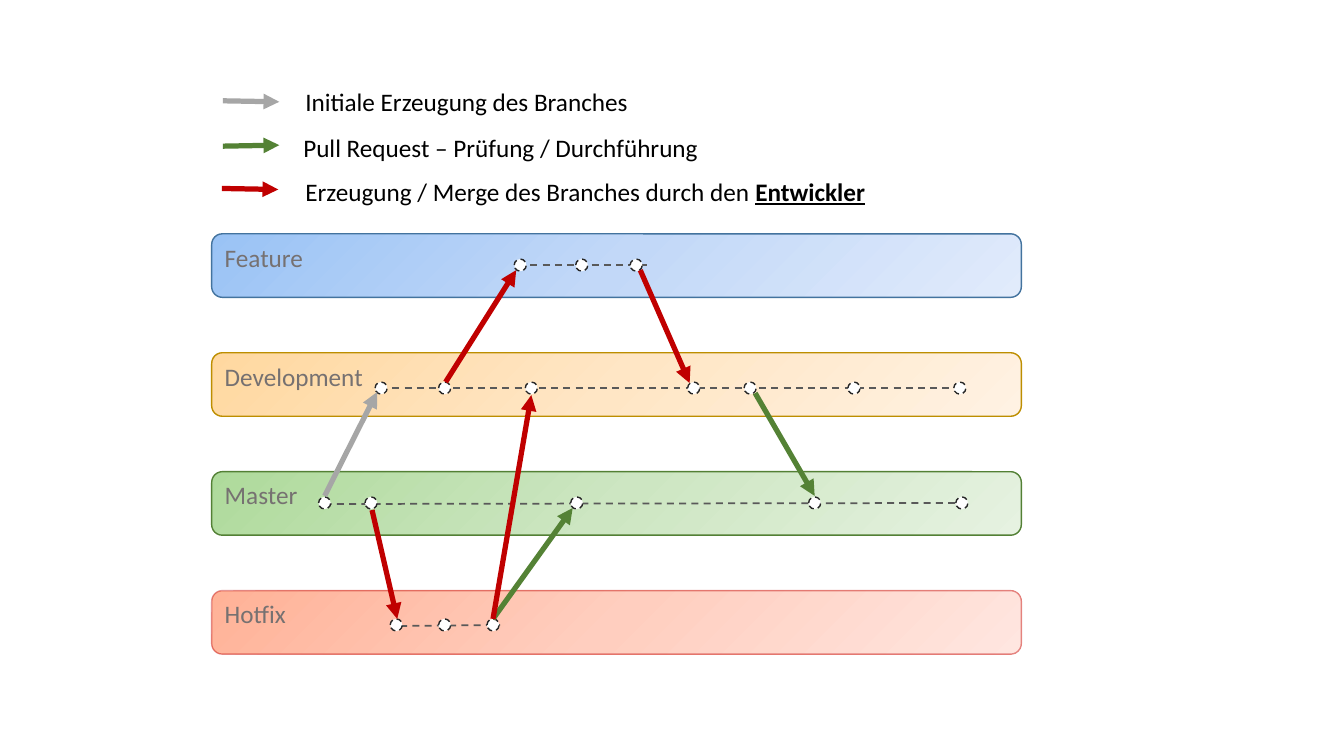
from dataclasses import dataclass
from copy import deepcopy

from lxml.etree import SubElement
from pptx import Presentation
from pptx.dml.color import RGBColor
from pptx.enum.dml import MSO_LINE_DASH_STYLE as Dash
from pptx.enum.shapes import MSO_CONNECTOR_TYPE as Connector, MSO_SHAPE as Shape
from pptx.enum.text import MSO_ANCHOR as Anchor, MSO_AUTO_SIZE as AutoSize, PP_ALIGN as Align
from pptx.oxml.ns import qn
from pptx.util import Inches, Pt

COLORS = {
    "initial": "A6A6A6", "pull_request": "548235", "developer": "C00000",
    "timeline": "595959", "commit_line": "262626", "commit": "FFFFFF",
    "lane_label": "767171", "legend": "000000",
}
FONT = "Calibri"
LANE_LEFT, LANE_TOP, LANE_WIDTH, LANE_HEIGHT, LANE_PITCH = 2.1, 2.32, 8.03, 0.63, 1.18
COMMIT_SIZE = 0.12

Point = tuple[float, float]


@dataclass
class Lane:
    """A branch with its band colours, timeline and commits."""
    name: str
    gradient: tuple[str, str, str]
    border: str
    timeline: tuple[Point, Point]
    commit_top: float
    commits: tuple[float, ...]
    border_opacity: int = 100


@dataclass
class Step:
    """An arrow of one kind between two points."""
    kind: str
    start: Point
    end: Point


@dataclass
class LegendEntry:
    """A sample arrow and its explanation."""
    sample: Step
    left: float
    top: float
    width: float
    text: str
    emphasis: str = ""


LANES = [
    Lane("Feature", ("9AC3F5", "C2D8F8", "E1EBFB"), "43739E",
         ((5.14, 2.63), (6.42, 2.63)), 2.57, (5.1, 5.71, 6.25)),
    Lane("Development", ("FFD8A0", "FFE6C5", "FFF2E3"), "BD8E00",
         ((3.77, 3.85), (9.57, 3.85)), 3.79, (3.72, 4.35, 5.21, 6.82, 7.38, 8.41, 9.46)),
    Lane("Master", ("AEDA9B", "CDE6C2", "E6F2E1"), "538035",
         ((3.22, 5), (9.61, 4.99)), 4.93, (3.16, 3.62, 5.66, 8.02, 9.48)),
    Lane("Hotfix", ("FFB297", "FFCEBF", "FFE6E0"), "C00000",
         ((3.97, 6.21), (4.96, 6.2)), 6.14, (3.87, 4.35, 4.83), border_opacity=42),
]
STEPS = [
    Step("developer", (4.42, 3.79), (5.12, 2.68)),
    Step("developer", (6.35, 2.68), (6.84, 3.8)),
    Step("pull_request", (7.49, 3.9), (8.08, 4.92)),
    Step("developer", (3.69, 5.06), (3.94, 6.14)),
    Step("pull_request", (4.89, 6.14), (5.68, 5.04)),
    Step("developer", (4.89, 6.14), (5.27, 3.92)),
    Step("initial", (3.22, 4.92), (3.74, 3.89)),
]
LEGEND = [
    LegendEntry(Step("initial", (2.21, 1), (2.77, 1.01)), 2.93, 0.81, 3.44,
                "Initiale Erzeugung des Branches"),
    LegendEntry(Step("pull_request", (2.21, 1.45), (2.77, 1.44)), 2.91, 1.26, 4.17,
                "Pull Request – Prüfung / Durchführung"),
    LegendEntry(Step("developer", (2.2, 1.87), (2.76, 1.88)), 2.93, 1.7, 5.79,
                "Erzeugung / Merge des Branches durch den ", "Entwickler"),
]


def rgb(value: str) -> RGBColor:
    """Turn a hex string into a colour."""
    return RGBColor.from_string(value)


def write(paragraph, text: str, *, color: str, size: float = 18,
          bold: bool = False, underline: bool = False) -> None:
    """Add a formatted run to a paragraph."""
    run = paragraph.add_run()
    run.text = text
    font = run.font
    font.name, font.size = FONT, Pt(size)
    font.bold, font.underline = bold, underline
    font.color.rgb = rgb(color)


def draw_line(shapes, start: Point, end: Point, color: str, width: float):
    """Draw a straight connector without shadow and return its line format."""
    connector = shapes.add_connector(
        Connector.STRAIGHT, *(Inches(value) for value in (*start, *end)))
    connector.line.color.rgb = rgb(color)
    connector.line.width = Pt(width)
    SubElement(connector._element.spPr, qn("a:effectLst"))
    return connector.line


def draw_step(shapes, step: Step) -> None:
    """Draw an arrow in the colour of its kind."""
    line = draw_line(shapes, step.start, step.end, COLORS[step.kind], 3.75)
    SubElement(line._get_or_add_ln(), qn("a:tailEnd"), type="triangle")


def draw_band(shapes, lane: Lane, top: float) -> None:
    """Draw the labelled gradient band of a lane."""
    band = shapes.add_shape(Shape.ROUNDED_RECTANGLE, Inches(LANE_LEFT), Inches(top),
                            Inches(LANE_WIDTH), Inches(LANE_HEIGHT))
    band.shadow.inherit = False
    band.fill.gradient()
    band.fill.gradient_angle = 315
    stop_list = band._element.spPr.find(f".//{qn('a:gsLst')}")
    stop_list.insert(1, deepcopy(stop_list[0]))
    for stop, position, color in zip(band.fill.gradient_stops, (0, 0.5, 1), lane.gradient):
        stop.position = position
        stop.color.rgb = rgb(color)
    band.line.color.rgb = rgb(lane.border)
    band.line.width = Pt(1)
    if lane.border_opacity < 100:
        border = band.line._get_or_add_ln().find(f".//{qn('a:srgbClr')}")
        SubElement(border, qn("a:alpha"), val=str(lane.border_opacity * 1000))
    frame = band.text_frame
    frame.vertical_anchor = Anchor.TOP
    frame.paragraphs[0].alignment = Align.LEFT
    write(frame.paragraphs[0], lane.name, color=COLORS["lane_label"])


def draw_commit(shapes, left: float, top: float) -> None:
    """Draw one commit as a dashed circle."""
    commit = shapes.add_shape(Shape.OVAL, Inches(left), Inches(top),
                              Inches(COMMIT_SIZE), Inches(COMMIT_SIZE))
    commit.shadow.inherit = False
    commit.fill.solid()
    commit.fill.fore_color.rgb = rgb(COLORS["commit"])
    commit.line.color.rgb = rgb(COLORS["commit_line"])
    commit.line.width = Pt(1)
    commit.line.dash_style = Dash.DASH


def draw_lane(shapes, lane: Lane, top: float) -> None:
    """Draw a band with its timeline and commits."""
    draw_band(shapes, lane, top)
    timeline = draw_line(shapes, *lane.timeline, COLORS["timeline"], 1.25)
    timeline.dash_style = Dash.DASH
    for left in lane.commits:
        draw_commit(shapes, left, lane.commit_top)


def draw_legend_entry(shapes, entry: LegendEntry) -> None:
    """Draw a sample arrow with its explanation."""
    draw_step(shapes, entry.sample)
    explanation = shapes.add_textbox(Inches(entry.left), Inches(entry.top),
                                     Inches(entry.width), Inches(0.4))
    frame = explanation.text_frame
    frame.word_wrap = False
    frame.auto_size = AutoSize.SHAPE_TO_FIT_TEXT
    write(frame.paragraphs[0], entry.text, color=COLORS["legend"])
    if entry.emphasis:
        write(frame.paragraphs[0], entry.emphasis, color=COLORS["legend"],
              bold=True, underline=True)


def main() -> None:
    """Build the branching diagram and save it."""
    deck = Presentation()
    deck.slide_width, deck.slide_height = Inches(13.33), Inches(7.5)
    shapes = deck.slides.add_slide(deck.slide_layouts[6]).shapes
    for index, lane in enumerate(LANES):
        draw_lane(shapes, lane, LANE_TOP + index * LANE_PITCH)
    for step in STEPS:
        draw_step(shapes, step)
    for entry in LEGEND:
        draw_legend_entry(shapes, entry)
    deck.save("out.pptx")


main()
